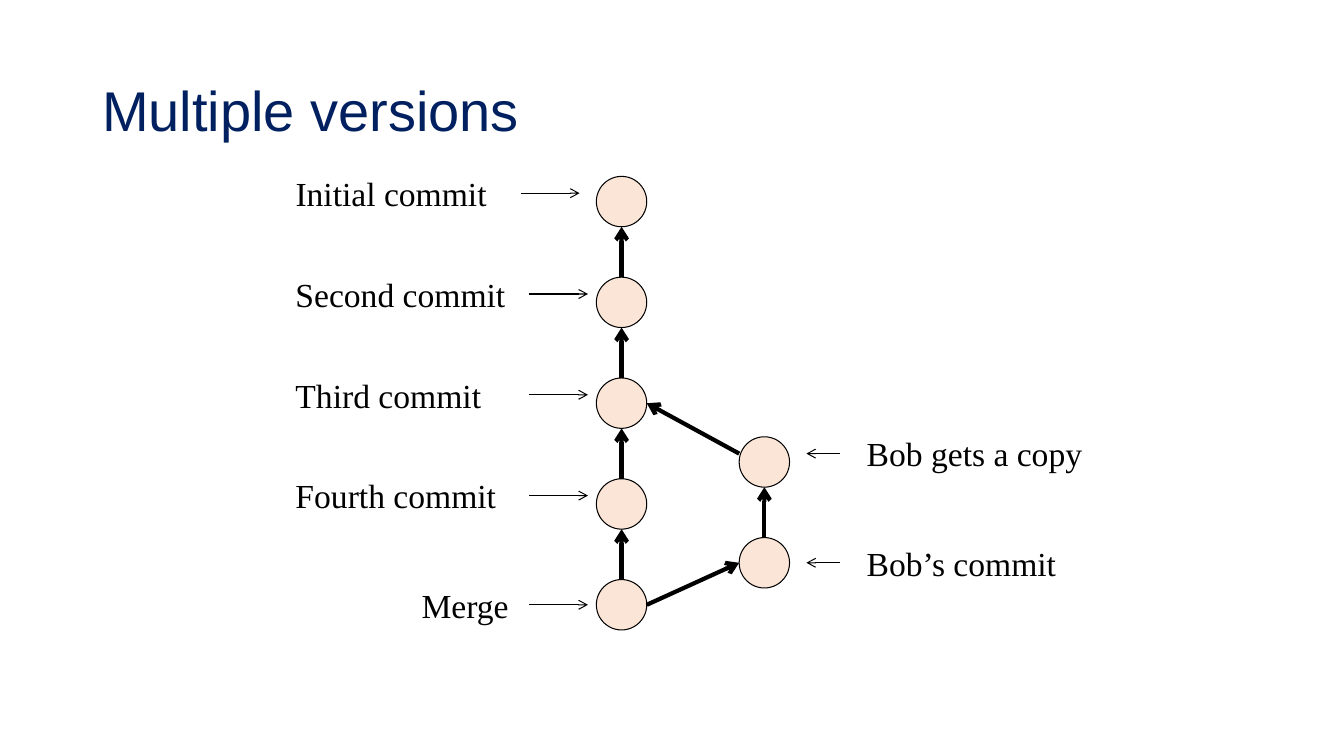
from dataclasses import dataclass

from pptx import Presentation, util as u
from pptx.dml.color import RGBColor
from pptx.enum import shapes, text
from pptx.oxml import ns, xmlchemy

COLUMNS, ROWS = 160, 90
CELL = u.Inches(7.5) / ROWS
NODE = 6
LABEL_HEIGHT = 6.1
TRUNK, BRANCH = 71, 88


@dataclass(frozen=True)
class Theme:
    title_font: str = "Arial"
    label_font: str = "Times New Roman"
    title_size: float = 40
    label_size: float = 24
    thin: float = 0.75
    thick: float = 3
    title: RGBColor = RGBColor(0x00, 0x20, 0x60)
    ink: RGBColor = RGBColor(0x00, 0x00, 0x00)
    node: RGBColor = RGBColor(0xFB, 0xE5, 0xD6)


@dataclass(frozen=True)
class Commit:
    column: float
    row: float

    @property
    def top(self) -> tuple[float, float]:
        return self.column + NODE / 2, self.row

    @property
    def bottom(self) -> tuple[float, float]:
        return self.column + NODE / 2, self.row + NODE

    @property
    def left(self) -> tuple[float, float]:
        return self.column, self.row + NODE / 2

    @property
    def right(self) -> tuple[float, float]:
        return self.column + NODE, self.row + NODE / 2


@dataclass(frozen=True)
class Label:
    wording: str
    column: float
    row: float
    width: float
    arrow_row: float
    arrow_start: float = 63
    arrow_end: float = 70
    wrap: bool = True


THEME = Theme()
TRUNK_COMMITS = [Commit(TRUNK, 21 + 12 * step) for step in range(5)]
BRANCH_COMMITS = [Commit(BRANCH, 52 + 12 * step) for step in range(2)]
LABELS = [
    Label("Initial commit", 34, 20, 28, 23, 62, 69),
    Label("Second commit", 34, 32, 29, 35),
    Label("Third commit", 34, 44, 29, 47),
    Label("Fourth commit", 34, 56, 29, 59),
    Label("Merge", 49, 69, 14, 72),
    Label("Bob gets a copy", 102, 51, 28.3, 54, 100, 96, False),
    Label("Bob’s commit", 102, 64, 25.2, 67, 100, 96, False),
]


def grid(cells: float) -> u.Emu:
    return u.Emu(round(cells * CELL))


def add_text(page, wording: str, frame: tuple[float, float, float, float],
             font: str, size: float, color: RGBColor, wrap: bool = True):
    box = page.shapes.add_textbox(*map(grid, frame))
    box.text_frame.word_wrap = wrap
    para = box.text_frame.paragraphs[0]
    para.text = wording
    para.font.name = font
    para.font.size = u.Pt(size)
    para.font.color.rgb = color
    return box


def add_title(page) -> None:
    box = add_text(page, "Multiple versions", (11, 4.8, 138, 17.4),
                   THEME.title_font, THEME.title_size, THEME.title)
    box.text_frame.vertical_anchor = text.MSO_ANCHOR.MIDDLE
    box.text_frame.paragraphs[0].line_spacing = 0.9


def add_commit(page, commit: Commit) -> None:
    node = page.shapes.add_shape(
        shapes.MSO_SHAPE.OVAL, grid(commit.column), grid(commit.row), grid(NODE), grid(NODE))
    node.shadow.inherit = False
    node.fill.solid()
    node.fill.fore_color.rgb = THEME.node
    node.line.color.rgb = THEME.ink
    node.line.width = u.Pt(THEME.thin)


def add_arrow(page, start: tuple[float, float], end: tuple[float, float], width: float) -> None:
    arrow = page.shapes.add_connector(
        shapes.MSO_CONNECTOR.STRAIGHT, *map(grid, (*start, *end)))
    arrow.line.color.rgb = THEME.ink
    arrow.line.width = u.Pt(width)
    head = xmlchemy.OxmlElement("a:tailEnd")
    head.set("type", "arrow")
    properties = arrow._element.spPr
    properties.find(ns.qn("a:ln")).append(head)
    properties.append(xmlchemy.OxmlElement("a:effectLst"))


def add_label(page, label: Label) -> None:
    add_text(page, label.wording, (label.column, label.row, label.width, LABEL_HEIGHT),
             THEME.label_font, THEME.label_size, THEME.ink, label.wrap)
    add_arrow(page, (label.arrow_start, label.arrow_row),
              (label.arrow_end, label.arrow_row), THEME.thin)


def add_history(page) -> None:
    for commit in TRUNK_COMMITS + BRANCH_COMMITS:
        add_commit(page, commit)
    for line in (TRUNK_COMMITS, BRANCH_COMMITS):
        for parent, child in zip(line, line[1:]):
            add_arrow(page, child.top, parent.bottom, THEME.thick)
    add_arrow(page, (BRANCH, 54), TRUNK_COMMITS[2].right, THEME.thick)
    add_arrow(page, TRUNK_COMMITS[-1].right, BRANCH_COMMITS[-1].left, THEME.thick)


def main() -> None:
    deck = Presentation()
    deck.slide_width, deck.slide_height = grid(COLUMNS), grid(ROWS)
    page = deck.slides.add_slide(deck.slide_layouts[6])
    add_title(page)
    add_history(page)
    for label in LABELS:
        add_label(page, label)
    deck.save("out.pptx")


if __name__ == "__main__":
    main()
